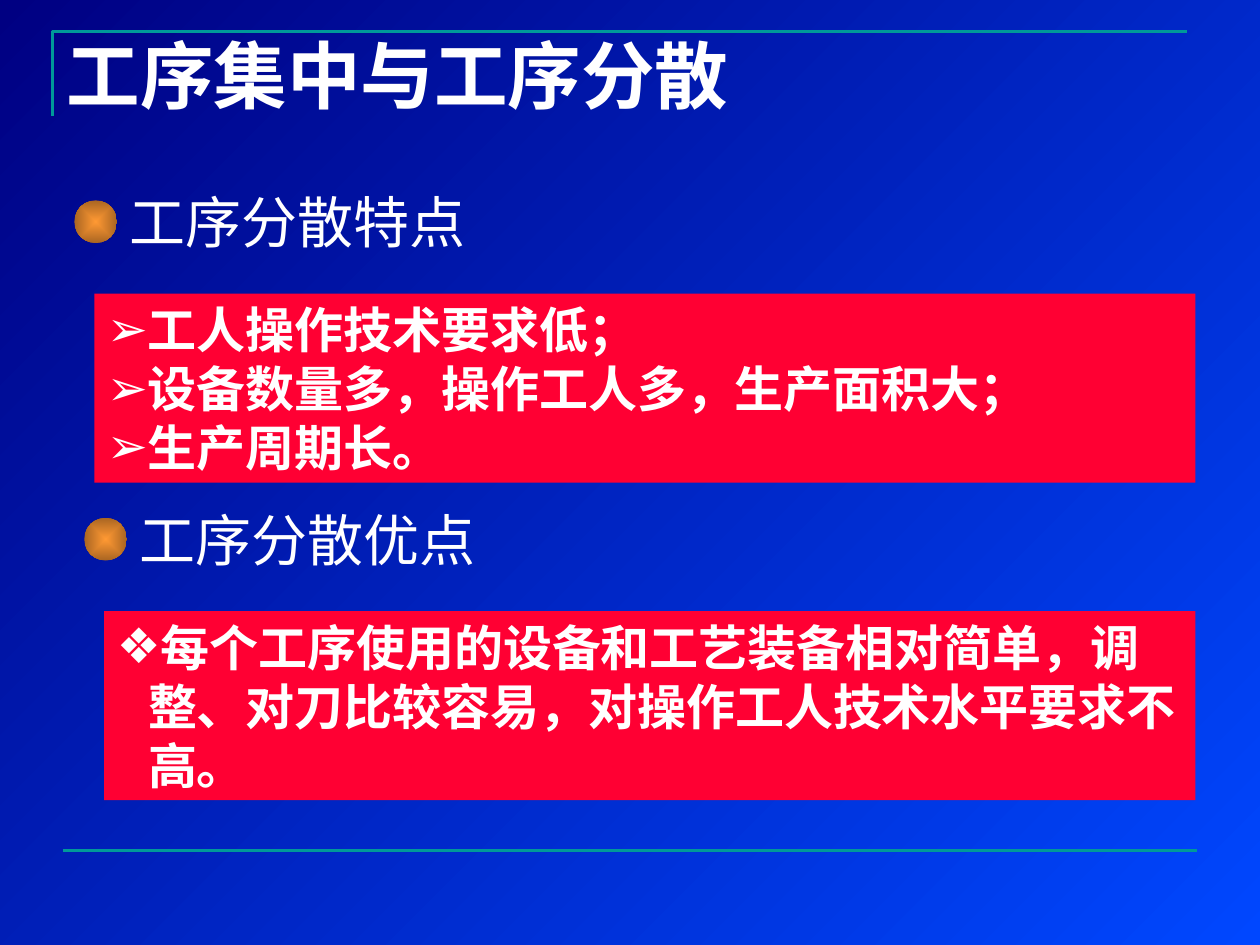
import pptx
import pptx.dml.color
import pptx.enum.shapes
import pptx.enum.text
import pptx.oxml.ns
import pptx.util
from dataclasses import dataclass
from lxml import etree
from pptx.util import Cm


@dataclass(frozen=True)
class Theme:
    background: tuple = ("000082", "0047FF")
    ball: tuple = ("FF9933", "A96522")
    rule: str = "009999"
    panel: str = "FF0033"
    text: str = "FFFFFF"
    title_font: str = "Noto Sans CJK SC"
    heading_font: str = "Times New Roman"
    list_font: str = "Arial"
    east_asian_font: str = "Noto Sans CJK SC"
    title_size: int = 42
    heading_size: int = 32
    list_size: int = 28
    rule_width: float = 1.5


THEME = Theme()
TITLE = "工序集中与工序分散"
SECTIONS = [
    {
        "heading": "工序分散特点",
        "bullet": "➢",
        "items": ["工人操作技术要求低；", "设备数量多，操作工人多，生产面积大；", "生产周期长。"],
        "left": 1.5,
        "top": 3.53,
    },
    {
        "heading": "工序分散优点",
        "bullet": "❖",
        "items": ["每个工序使用的设备和工艺装备相对简单，调整、对刀比较容易，对操作工人技术水平要求不高。"],
        "left": 1.7,
        "top": 9.93,
    },
]
BALL_SIZE = 0.86
BALL_DROP = 0.51
HEADING_WIDTH, HEADING_HEIGHT = 12.93, 1.75
PANEL_DROP, PANEL_INDENT = 2.39, 0.4
PANEL_RIGHT, PANEL_HEIGHT = 24.1, 3.81
HANGING = 0.63


def color(value):
    return pptx.dml.color.RGBColor.from_string(value)


def add_element(parent, tag, **attributes):
    return etree.SubElement(parent, pptx.oxml.ns.qn(tag), attributes)


def fill_gradient(fill, colors, angle=0):
    fill.gradient()
    fill.gradient_angle = angle
    for stop, value in zip(fill.gradient_stops, colors):
        stop.color.rgb = color(value)


def format_line(shape):
    shape.line.color.rgb = color(THEME.rule)
    shape.line.width = pptx.util.Pt(THEME.rule_width)


def place(shape, left, top, width, height):
    shape.left, shape.top = Cm(left), Cm(top)
    shape.width, shape.height = Cm(width), Cm(height)


def write(shape, lines, font_name, size, bold=False, bullet=None, spacing=1.0,
          alignment=pptx.enum.text.PP_ALIGN.LEFT):
    frame = shape.text_frame
    frame.word_wrap = True
    frame.auto_size = pptx.enum.text.MSO_AUTO_SIZE.NONE
    frame.vertical_anchor = pptx.enum.text.MSO_ANCHOR.TOP
    frame.text = "\n".join(lines)
    for paragraph in frame.paragraphs:
        paragraph.alignment = alignment
        paragraph.line_spacing = spacing
        paragraph.space_before = pptx.util.Pt(0)
        if bullet:
            properties = paragraph._p.get_or_add_pPr()
            properties.set("marL", str(Cm(HANGING)))
            properties.set("indent", str(-Cm(HANGING)))
            add_element(add_element(properties, "a:buClr"), "a:srgbClr", val=THEME.text)
            add_element(properties, "a:buFont", typeface=THEME.list_font)
            add_element(properties, "a:buChar", char=bullet)
        font = paragraph.font
        font.name, font.size, font.bold = font_name, pptx.util.Pt(size), bold
        font.color.rgb = color(THEME.text)
        east_asian = etree.Element(pptx.oxml.ns.qn("a:ea"), typeface=THEME.east_asian_font)
        font._element.find(pptx.oxml.ns.qn("a:latin")).addnext(east_asian)


def add_rules(slide):
    builder = slide.shapes.build_freeform(Cm(1.06), Cm(2.33))
    builder.add_line_segments([(Cm(1.06), Cm(0.63)), (Cm(23.92), Cm(0.63))], close=False)
    corner = builder.convert_to_shape()
    corner.shadow.inherit = False
    corner.fill.background()
    format_line(corner)
    bottom = slide.shapes.add_connector(
        pptx.enum.shapes.MSO_CONNECTOR.STRAIGHT, Cm(1.27), Cm(17.14), Cm(24.13), Cm(17.14))
    format_line(bottom)
    add_element(bottom._element.spPr, "a:effectLst")


def add_heading(slide, text, left, top):
    group = slide.shapes.add_group_shape()
    label = group.shapes.add_textbox(
        Cm(left + BALL_SIZE), Cm(top), Cm(HEADING_WIDTH), Cm(HEADING_HEIGHT))
    write(label, [text], THEME.heading_font, THEME.heading_size, spacing=1.1,
          alignment=pptx.enum.text.PP_ALIGN.JUSTIFY)
    ball = group.shapes.add_shape(
        pptx.enum.shapes.MSO_SHAPE.OVAL, Cm(left), Cm(top + BALL_DROP), Cm(BALL_SIZE), Cm(BALL_SIZE))
    ball.shadow.inherit = False
    ball.line.fill.background()
    fill_gradient(ball.fill, THEME.ball)
    gradient = ball._element.spPr.find(pptx.oxml.ns.qn("a:gradFill"))
    gradient.remove(gradient.find(pptx.oxml.ns.qn("a:lin")))
    center = dict.fromkeys("ltrb", "50000")
    add_element(add_element(gradient, "a:path", path="rect"), "a:fillToRect", **center)


def main():
    presentation = pptx.Presentation()
    presentation.slide_width, presentation.slide_height = Cm(25.4), Cm(19.05)
    slide = presentation.slides.add_slide(presentation.slide_layouts.get_by_name("Two Content"))
    fill_gradient(slide.background.fill, THEME.background, 315)
    add_rules(slide)

    title, *panels = slide.placeholders
    place(title, 1.09, 0.48, 21.62, 2.03)
    write(title, [TITLE], THEME.title_font, THEME.title_size, bold=True)

    for section, panel in zip(SECTIONS, panels):
        left, top = section["left"], section["top"]
        add_heading(slide, section["heading"], left, top)
        panel_left = left + PANEL_INDENT
        place(panel, panel_left, top + PANEL_DROP, PANEL_RIGHT - panel_left, PANEL_HEIGHT)
        panel.fill.solid()
        panel.fill.fore_color.rgb = color(THEME.panel)
        write(panel, section["items"], THEME.list_font, THEME.list_size, bold=True,
              bullet=section["bullet"])

    presentation.save("out.pptx")


if __name__ == "__main__":
    main()
